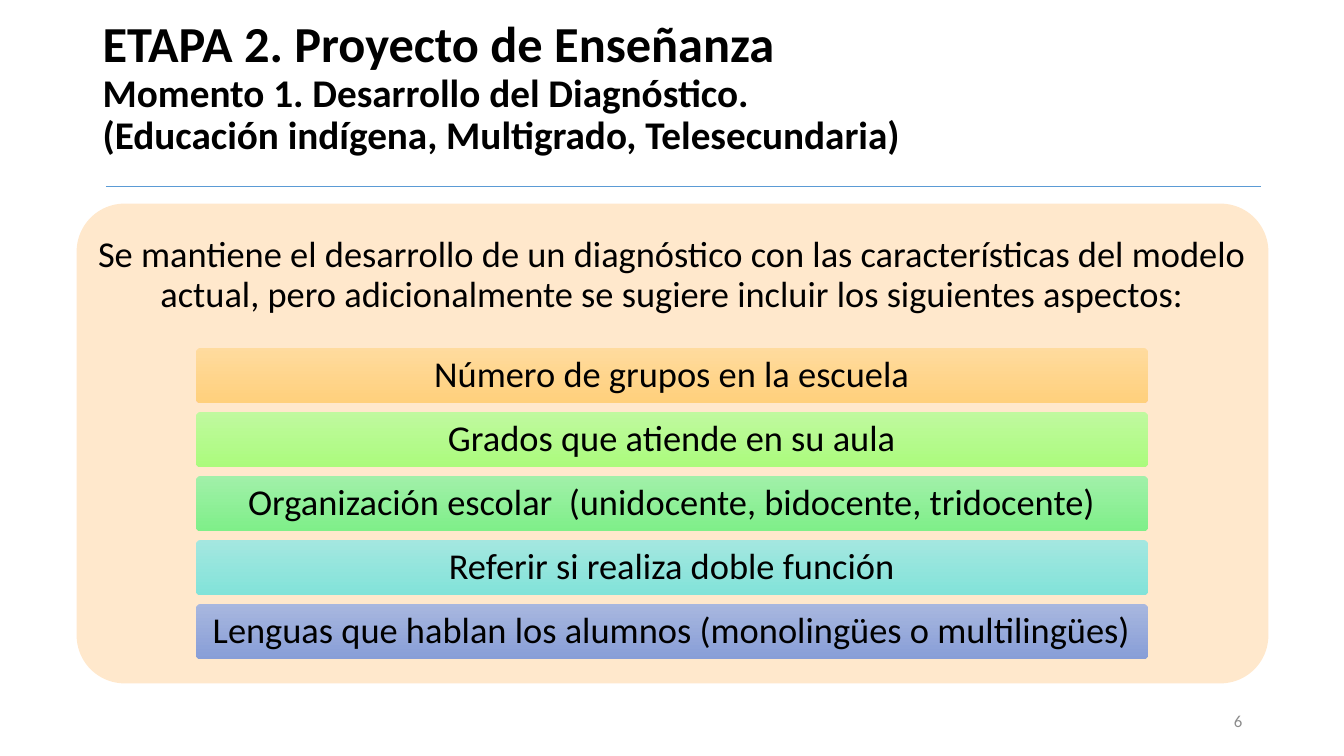
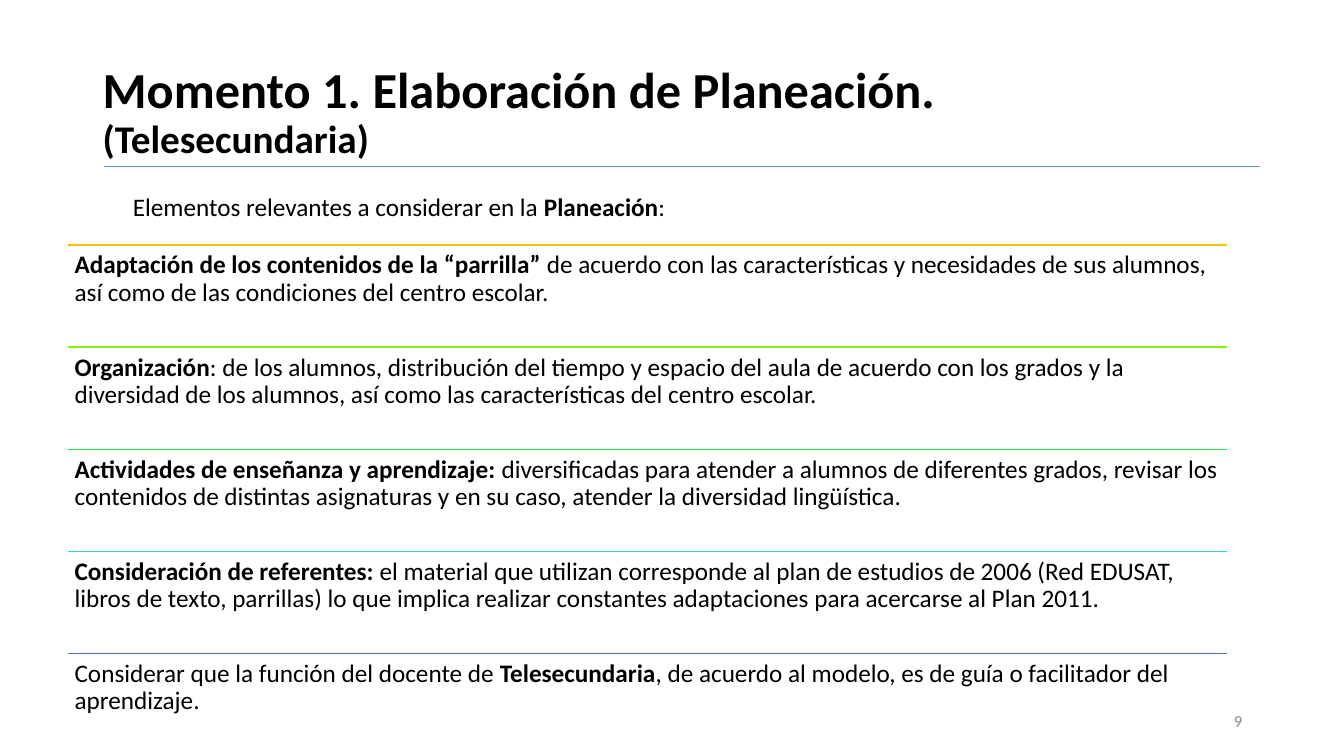
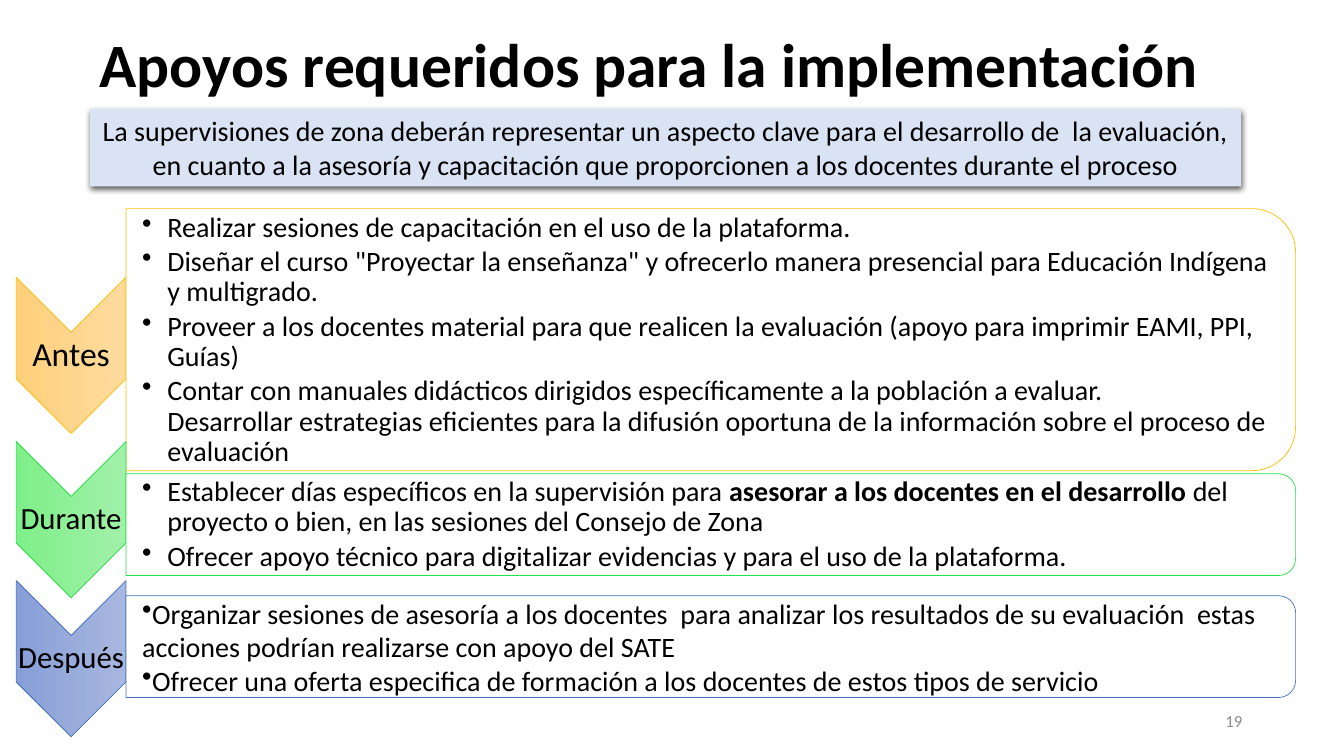
"""Builds three slides about the teaching project, its planning and its support."""
import lxml.etree
import pptx
import pptx.dml.color
import pptx.enum.shapes
import pptx.enum.text
import pptx.oxml
import pptx.oxml.ns
import pptx.util

PX = 9144
FONT = "Calibri"
COLOURS = {
    "text": "000000",
    "paper": "FFFFFF",
    "number": "8C8C8C",
    "rule": "5B9BD5",
    "panel": "FFE8CC",
    "callout": "DAE3F3",
}
ACCENTS = {
    "orange": {"line": "FFC000", "light": "FFDB9E", "dark": "FFD07C"},
    "lime": {"line": "86F011", "light": "C0F99F", "dark": "ABFB7D"},
    "green": {"line": "23E148", "light": "A1F0A9", "dark": "7FEF89"},
    "teal": {"line": "33D2C5", "light": "A4E7E0", "dark": "82E3D9"},
    "blue": {"line": "4472C4", "light": "A8B7DF", "dark": "889ED7"},
}
SHAPES = pptx.enum.shapes.MSO_SHAPE
ALIGN = pptx.enum.text.PP_ALIGN
ANCHOR = pptx.enum.text.MSO_ANCHOR

DIAGNOSIS_ASPECTS = [
    "Número de grupos en la escuela",
    "Grados que atiende en su aula",
    "Organización escolar  (unidocente, bidocente, tridocente)",
    "Referir si realiza doble función",
    "Lenguas que hablan los alumnos (monolingües o multilingües)",
]
PLANNING_ELEMENTS = [
    "**Adaptación de los contenidos de la “parrilla” **de acuerdo con las características y "
    "necesidades de sus alumnos, así como de las condiciones del centro escolar.",
    "**Organización**: de los alumnos, distribución del tiempo y espacio del aula de acuerdo con "
    "los grados y la diversidad de los alumnos, así como las características del centro escolar.",
    "**Actividades de enseñanza y aprendizaje: **diversificadas para atender a alumnos de "
    "diferentes grados, revisar los contenidos de distintas asignaturas y en su caso, atender la "
    "diversidad lingüística.",
    "**Consideración de referentes: **el material que utilizan corresponde al plan de estudios de "
    "2006 (Red EDUSAT, libros de texto, parrillas) lo que implica realizar constantes "
    "adaptaciones para acercarse al Plan 2011.",
    "Considerar que la función del docente de **Telesecundaria**, de acuerdo al modelo, es de "
    "guía o facilitador del aprendizaje.",
]
STAGES = [
    {
        "name": "Antes", "size": 24, "accent": "orange", "chevron_top": 275,
        "panel": (207, 260), "body": (220, 1147, 235),
        "format": {"indent": 25, "spacing": 0.9, "after": 3},
        "points": [
            "Realizar sesiones de capacitación en el uso de la plataforma.",
            'Diseñar el curso "Proyectar la enseñanza" y ofrecerlo manera presencial para '
            "Educación Indígena y multigrado.",
            "Proveer a los docentes material para que realicen la evaluación (apoyo para "
            "imprimir EAMI, PPI, Guías)",
            "Contar con manuales didácticos dirigidos específicamente a la población a evaluar.\n"
            "Desarrollar estrategias eficientes para la difusión oportuna de la información "
            "sobre el proceso de evaluación",
        ],
    },
    {
        "name": "Durante", "size": 22, "accent": "green", "chevron_top": 438,
        "panel": (470, 101), "body": (475, 1155, 91),
        "format": {"indent": 25, "spacing": 0.9, "after": 3},
        "points": [
            "Establecer días específicos en la supervisión para **asesorar a los docentes en el "
            "desarrollo **del proyecto o bien, en las sesiones del Consejo de Zona",
            "Ofrecer apoyo técnico para digitalizar evidencias y para el uso de la plataforma.",
        ],
    },
    {
        "name": "Después", "size": 22, "accent": "blue", "chevron_top": 576,
        "panel": (591, 101), "body": (596, 1155, 91),
        "format": {"indent": 0},
        "points": [
            "Organizar sesiones de asesoría a los docentes  para analizar los resultados de su "
            "evaluación  estas acciones podrían realizarse con apoyo del SATE",
            "Ofrecer una oferta especifica de formación a los docentes de estos tipos de servicio",
        ],
    },
]


def px(*lengths):
    """Turns pixel lengths into EMU."""
    return [round(length * PX) for length in lengths]


def rgb(colour):
    """Turns a hex string into a colour."""
    return pptx.dml.color.RGBColor.from_string(colour)


def add_bullet(paragraph, indent):
    """Gives a paragraph a round bullet with a hanging indent."""
    properties = paragraph._p.get_or_add_pPr()
    properties.set("marL", str(indent * PX))
    properties.set("indent", str(-indent * PX))
    bullet = lxml.etree.SubElement(properties, pptx.oxml.ns.qn("a:buChar"))
    bullet.set("char", "•")


def write(shape, text, size=18, colour="text", bold=False, align=ALIGN.LEFT,
          spacing=1.0, after=0, indent=None):
    """Adds one paragraph, in which double asterisks switch bold on and off."""
    frame = shape.text_frame
    paragraph = frame.paragraphs[0]
    if paragraph.runs:
        paragraph = frame.add_paragraph()
    if indent is not None:
        add_bullet(paragraph, indent)
    paragraph.alignment = align
    paragraph.line_spacing = spacing
    paragraph.space_after = pptx.util.Pt(after)
    for part_index, part in enumerate(text.split("**")):
        for line_index, line in enumerate(part.split("\n")):
            if line_index:
                paragraph.add_line_break()
            if line:
                run = paragraph.add_run()
                run.text = line
                run.font.name = FONT
                run.font.size = pptx.util.Pt(size)
                run.font.bold = bold or part_index % 2 == 1
                run.font.color.rgb = rgb(COLOURS[colour])


def prepare_frame(shape, anchor, insets):
    """Sets wrapping, anchor and insets of a text frame."""
    frame = shape.text_frame
    frame.word_wrap = True
    frame.vertical_anchor = anchor
    (frame.margin_left, frame.margin_top,
     frame.margin_right, frame.margin_bottom) = px(*insets)


def add_text_box(slide, box, anchor=ANCHOR.MIDDLE, insets=(10, 5, 10, 5)):
    """Adds an empty text box."""
    shape = slide.shapes.add_textbox(*px(*box))
    prepare_frame(shape, anchor, insets)
    return shape


def add_block(slide, kind, box, fill=None, accent=None, line=None):
    """Adds a preset shape with a plain fill or an accent gradient."""
    shape = slide.shapes.add_shape(kind, *px(*box))
    shape.shadow.inherit = False
    if accent:
        shape.fill.gradient()
        shape.fill.gradient_angle = 270
        for stop, tone in zip(shape.fill.gradient_stops, ("light", "dark")):
            stop.color.rgb = rgb(accent[tone])
        shape.fill.gradient_stops[0].position = 0
        shape.fill.gradient_stops[1].position = 1
    else:
        shape.fill.solid()
        shape.fill.fore_color.rgb = rgb(COLOURS[fill])
    if line:
        shape.line.color.rgb = rgb(line)
        shape.line.width = pptx.util.Pt(0.5)
    else:
        shape.line.fill.background()
    return shape


def add_turned_block(slide, kind, box, **style):
    """Adds a shape turned a quarter clockwise that covers the given box."""
    left, top, width, height = box
    shift = (width - height) / 2
    shape = add_block(slide, kind, (left + shift, top - shift, height, width), **style)
    shape.rotation = 90
    return shape


def add_rule(slide, left, top, width, colour, weight):
    """Adds a horizontal line."""
    connector = slide.shapes.add_connector(
        pptx.enum.shapes.MSO_CONNECTOR.STRAIGHT, *px(left, top, left + width, top))
    connector.line.color.rgb = rgb(colour)
    connector.line.width = pptx.util.Pt(weight)
    lxml.etree.SubElement(connector._element.spPr, pptx.oxml.ns.qn("a:effectLst"))


def add_soft_shadow(shape):
    """Gives a shape a soft shadow below it."""
    effects = shape._element.spPr.find(pptx.oxml.ns.qn("a:effectLst"))
    effects.append(pptx.oxml.parse_xml(
        '<a:outerShdw xmlns:a="http://schemas.openxmlformats.org/drawingml/2006/main" '
        'blurRad="57150" dist="19050" dir="5400000" algn="ctr" rotWithShape="0">'
        '<a:srgbClr val="000000"><a:alpha val="63000"/></a:srgbClr></a:outerShdw>'))


def add_slide(presentation, number, title_box, title_lines):
    """Adds a blank slide with its title and number."""
    slide = presentation.slides.add_slide(presentation.slide_layouts[6])
    title = add_text_box(slide, title_box)
    for text, size in title_lines:
        write(title, text, size=size, bold=True, spacing=0.9)
    number_box = add_text_box(slide, (942, 695, 300, 40))
    write(number_box, str(number), size=12, colour="number", align=ALIGN.RIGHT)
    return slide


def build_diagnosis(presentation):
    """Builds the slide on the diagnosis."""
    slide = add_slide(presentation, 6, (92, 18, 1150, 140), [
        ("ETAPA 2. Proyecto de Enseñanza", 36),
        ("Momento 1. Desarrollo del Diagnóstico.", 28),
        ("(Educación indígena, Multigrado, Telesecundaria)", 28),
    ])
    add_rule(slide, 105, 185, 1146, COLOURS["rule"], 0.5)
    panel = add_block(slide, SHAPES.ROUNDED_RECTANGLE, (76, 202, 1182, 476), fill="panel")
    panel.adjustments[0] = 0.1
    intro = add_text_box(slide, (76, 202, 1182, 143), insets=(11, 11, 11, 11))
    style = {"size": 26, "align": ALIGN.CENTER, "spacing": 0.9}
    write(intro, "Se mantiene el desarrollo de un diagnóstico con las características del modelo "
          "actual, pero adicionalmente se sugiere incluir los siguientes aspectos:", **style)
    for index, (aspect, accent) in enumerate(zip(DIAGNOSIS_ASPECTS, ACCENTS.values())):
        bar = add_block(slide, SHAPES.ROUNDED_RECTANGLE,
                        (194, 345 + 63.5 * index, 945, 55), accent=accent)
        bar.adjustments[0] = 0.1
        prepare_frame(bar, ANCHOR.MIDDLE, (8, 5, 8, 5))
        write(bar, aspect, **style)


def build_planning(presentation):
    """Builds the slide on planning."""
    slide = add_slide(presentation, 9, (92, 40, 1150, 145), [
        ("Momento 1. Elaboración de Planeación.", 36),
        ("(Telesecundaria)", 28),
    ])
    add_rule(slide, 103, 165, 1147, COLOURS["rule"], 0.5)
    intro = add_text_box(slide, (122, 185, 647, 71), anchor=ANCHOR.TOP)
    write(intro, "Elementos relevantes a considerar en la **Planeación**:")
    for index, (element, accent) in enumerate(zip(PLANNING_ELEMENTS, ACCENTS.values())):
        top = 243 + 101.4 * index
        add_rule(slide, 67, top, 1150, accent["line"], 1)
        row = add_text_box(slide, (67, top, 1150, 101), ANCHOR.TOP, (7, 7, 7, 7))
        write(row, element, spacing=0.9)


def add_stage(slide, stage):
    """Adds a chevron with its name and a panel with its points."""
    accent = ACCENTS[stage["accent"]]
    chevron_top = stage["chevron_top"]
    panel_top, panel_height = stage["panel"]
    add_turned_block(slide, SHAPES.CHEVRON, (16, chevron_top, 109, 155),
                     accent=accent, line=accent["line"])
    name = add_text_box(slide, (16, chevron_top + 54, 109, 47), insets=(2, 2, 2, 2))
    write(name, stage["name"], size=stage["size"], align=ALIGN.CENTER, spacing=0.9)
    add_turned_block(slide, SHAPES.ROUND_2_SAME_RECTANGLE,
                     (125, panel_top, 1160, panel_height), fill="paper", line=accent["line"])
    body = add_text_box(slide, (125, *stage["body"]), insets=(16, 1, 1, 1))
    for point in stage["points"]:
        write(body, point, size=20, **stage["format"])


def build_support(presentation):
    """Builds the slide on the support required."""
    slide = add_slide(presentation, 19, (89, 13, 1150, 108), [
        ("Apoyos requeridos para la implementación", 44),
    ])
    for stage in STAGES:
        add_stage(slide, stage)
    callout = add_block(slide, SHAPES.RECTANGLE, (89, 108, 1142, 77), fill="callout")
    add_soft_shadow(callout)
    prepare_frame(callout, ANCHOR.TOP, (10, 5, 10, 5))
    write(callout, "La supervisiones de zona deberán representar un aspecto clave para el "
          "desarrollo de  la evaluación, en cuanto a la asesoría y capacitación que proporcionen "
          "a los docentes durante el proceso", size=20, align=ALIGN.CENTER)


def main():
    """Builds and saves the presentation."""
    presentation = pptx.Presentation()
    presentation.slide_width, presentation.slide_height = px(1333, 750)
    build_diagnosis(presentation)
    build_planning(presentation)
    build_support(presentation)
    presentation.save("out.pptx")


if __name__ == "__main__":
    main()
